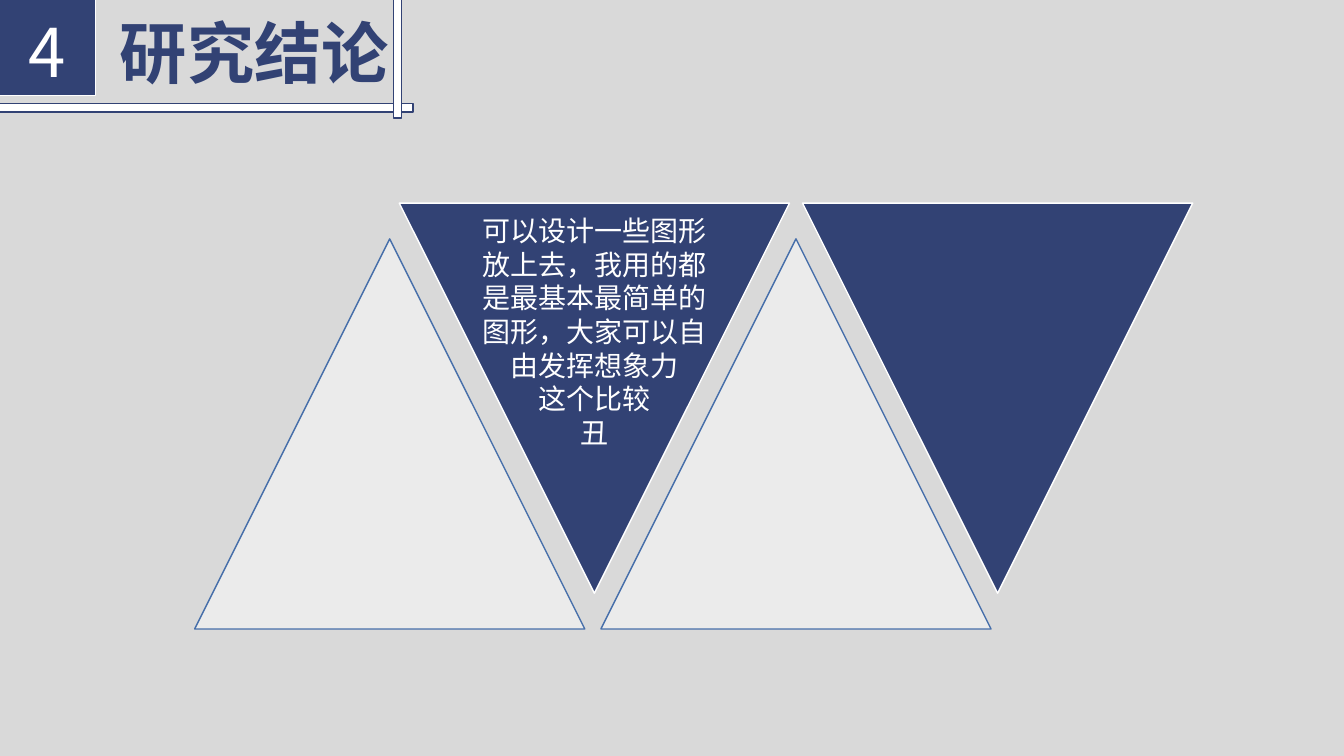
from dataclasses import dataclass

from lxml.etree import SubElement
from pptx import Presentation
from pptx.dml.color import RGBColor as Color
from pptx.enum.shapes import MSO_SHAPE as Shape
from pptx.enum.text import MSO_ANCHOR as Anchor
from pptx.enum.text import MSO_AUTO_SIZE as AutoSize
from pptx.enum.text import PP_ALIGN as Align
from pptx.oxml.ns import qn
from pptx.util import Inches, Pt


@dataclass(frozen=True)
class Theme:
    font: str = "Noto Sans CJK SC"
    backdrop: str = "D9D9D9"
    navy: str = "324274"
    white: str = "FFFFFF"
    outline: str = "476FAA"
    title_size: int = 48
    body_size: int = 20
    title_pitch: int = 62
    body_pitch: int = 24
    line_width: int = 1


THEME = Theme()
PAGE_WIDTH, PAGE_HEIGHT = Inches(13.33), Inches(7.5)
TRIANGLE_SIZE = (29.03, 51.6)


def place(left, top, width, height):
    """Turn percentages of the slide's width and height into lengths."""
    return (
        int(PAGE_WIDTH * left / 100), int(PAGE_HEIGHT * top / 100),
        int(PAGE_WIDTH * width / 100), int(PAGE_HEIGHT * height / 100),
    )


def write_text(box, text, size, pitch, color, bold=False, align=Align.LEFT):
    frame = box.text_frame
    frame.word_wrap = True
    for index, line in enumerate(text.split("\n")):
        para = frame.paragraphs[0] if index == 0 else frame.add_paragraph()
        para.alignment = align
        para.line_spacing = Pt(pitch)
        span = para.add_run()
        span.text = line
        span.font.name = THEME.font
        span.font.size = Pt(size)
        span.font.bold = bold
        span.font.color.rgb = Color.from_string(color)
        east_asian = SubElement(span.font._element, qn("a:ea"))
        east_asian.set("typeface", THEME.font)


def add_panel(page, kind, area, fill, line, opacity=100, rotation=0):
    panel = page.shapes.add_shape(kind, *place(*area))
    panel.shadow.inherit = False
    panel.rotation = rotation
    panel.fill.solid()
    panel.fill.fore_color.rgb = Color.from_string(fill)
    panel.line.color.rgb = Color.from_string(line)
    panel.line.width = Pt(THEME.line_width)
    if opacity < 100:
        tint = panel._element.spPr.find(qn("a:solidFill"))[0]
        SubElement(tint, qn("a:alpha")).set("val", str(opacity * 1000))
    return panel


def add_label(page, area, text, **style):
    box = page.shapes.add_textbox(*place(*area))
    write_text(box, text, **style)
    box.text_frame.auto_size = AutoSize.SHAPE_TO_FIT_TEXT


def add_header(page, number, title):
    badge = add_panel(page, Shape.RECTANGLE, (-0.08, -0.13, 7.2, 12.8),
                      THEME.navy, THEME.white)
    badge.text_frame.vertical_anchor = Anchor.MIDDLE
    write_text(badge, number, size=THEME.title_size, pitch=THEME.title_pitch,
               color=THEME.white, align=Align.CENTER)
    add_label(page, (8.18, 0, 32.1, 12.13), title, size=THEME.title_size,
              pitch=THEME.title_pitch, color=THEME.navy, bold=True)
    # Crossing bars below and right of the title
    for bar in ((-0.08, 13.73, 30.83, 1.07), (29.26, -0.4, 0.6, 16)):
        add_panel(page, Shape.RECTANGLE, bar, THEME.white, THEME.navy)


def add_triangles(page, lefts, top, **style):
    for left in lefts:
        add_panel(page, Shape.ISOSCELES_TRIANGLE,
                  (left, top, *TRIANGLE_SIZE), **style)


def main():
    deck = Presentation()
    deck.slide_width, deck.slide_height = PAGE_WIDTH, PAGE_HEIGHT
    page = deck.slides.add_slide(deck.slide_layouts[6])
    page.background.fill.solid()
    page.background.fill.fore_color.rgb = Color.from_string(THEME.backdrop)

    add_header(page, "4", "研究结论")

    # Row of upright and inverted triangles
    add_triangles(page, (14.48, 44.71), 31.6, fill=THEME.white,
                  line=THEME.outline, opacity=48)
    add_triangles(page, (29.71, 59.71), 26.87, fill=THEME.navy,
                  line=THEME.white, rotation=180)

    # Text inside the first inverted triangle
    add_label(
        page, (34.28, 27.6, 19.95, 32.8),
        "可以设计一些图形放上去，我用的都是最基本最简单的图形，大家可以自由发挥想象力\n"
        "这个比较\n丑",
        size=THEME.body_size, pitch=THEME.body_pitch,
        color=THEME.white, align=Align.CENTER,
    )
    deck.save("out.pptx")


if __name__ == "__main__":
    main()
